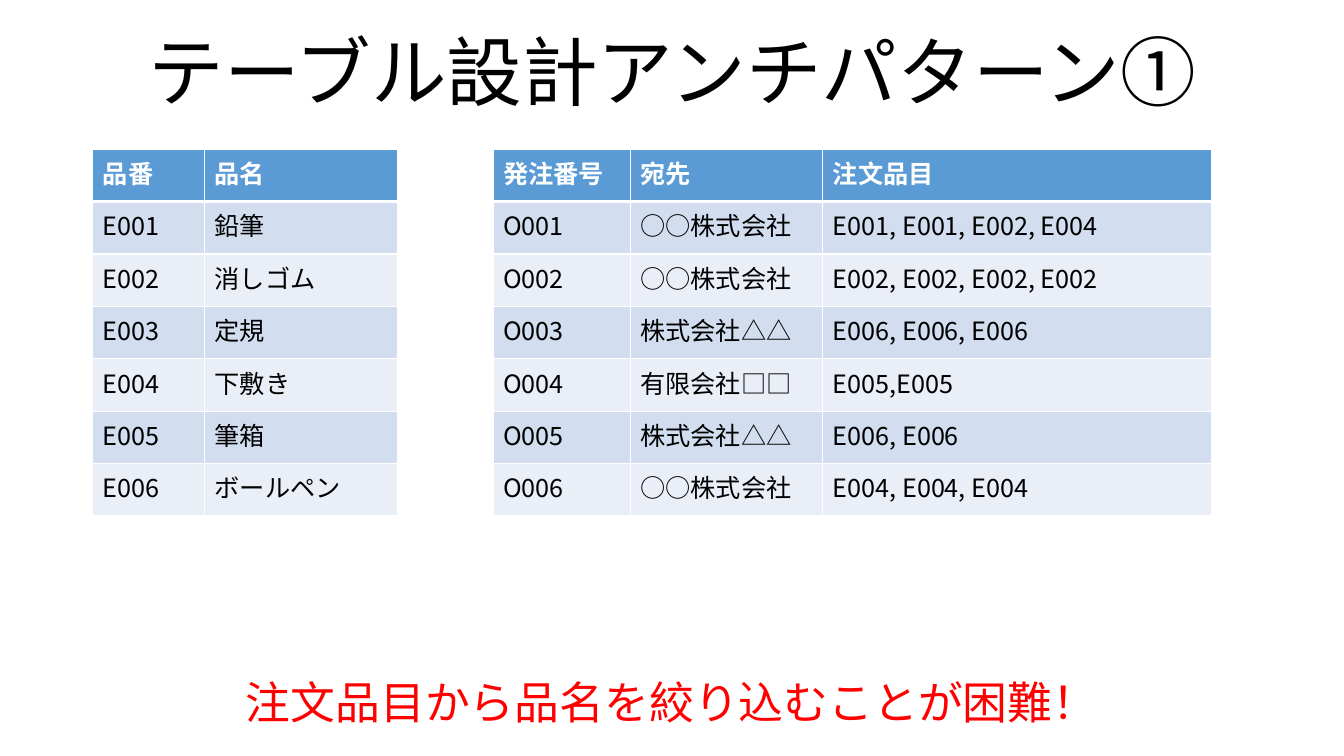
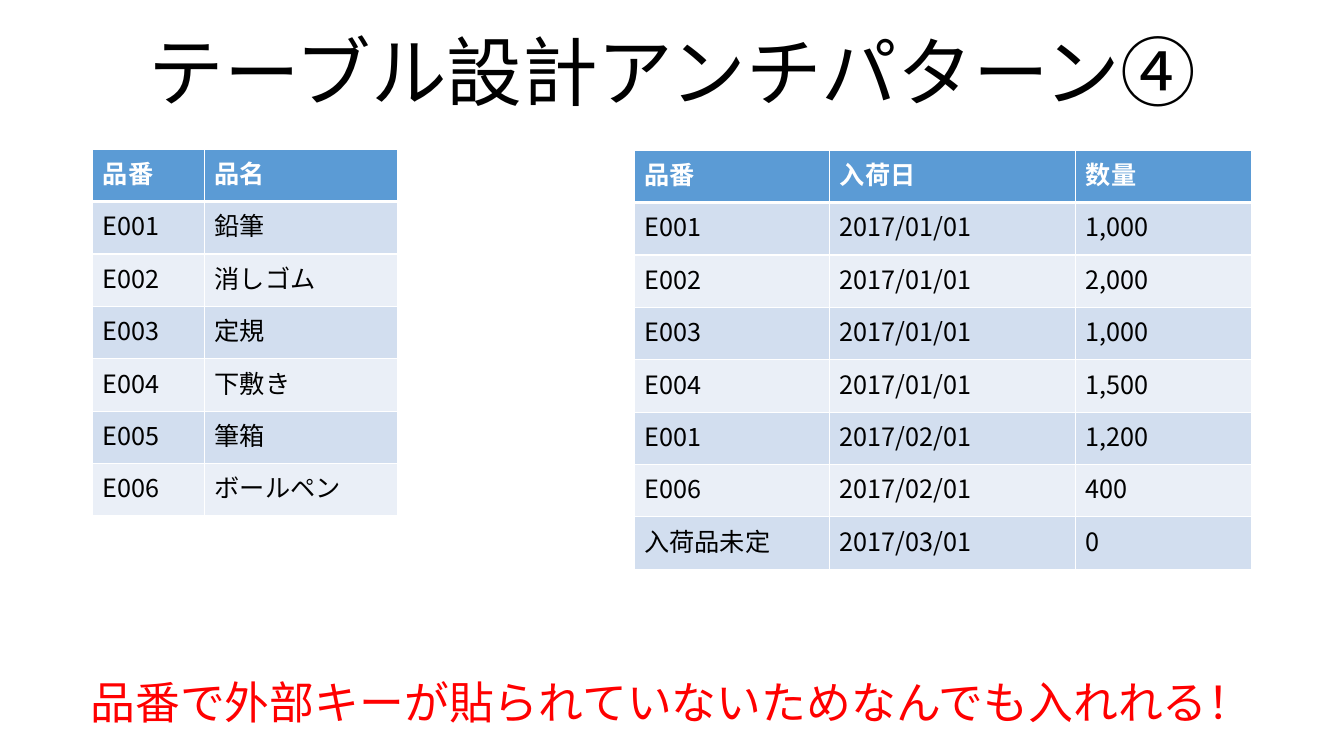
from dataclasses import dataclass

from lxml import etree
from pptx import Presentation
from pptx import util as u
from pptx.dml.color import RGBColor
from pptx.enum import text
from pptx.oxml import ns


@dataclass(frozen=True)
class Theme:
    font: str = "Noto Sans CJK JP"
    title_size: int = 54
    message_size: int = 32
    table_size: int = 18
    ink: str = "000000"
    white: str = "FFFFFF"
    alert: str = "FF0000"
    header: str = "5B9BD5"
    bands: tuple = ("D2DEEF", "EAEFF7")
    row_height: float = 0.52
    rule: int = 1
    header_rule: int = 3


class Deck:
    def __init__(self, theme):
        self.theme = theme
        self.prs = Presentation()
        self.prs.slide_width = u.Inches(13.33)
        self.prs.slide_height = u.Inches(7.5)
        self.slide = None

    def add_slide(self, title, message):
        """Start a slide with its title and its red closing message."""
        theme = self.theme
        self.slide = self.prs.slides.add_slide(self.prs.slide_layouts[6])
        heading = self.textbox(title, 0.92, 0.03, 11.5, 1.45, theme.title_size, theme.ink)
        heading.vertical_anchor = text.MSO_ANCHOR.MIDDLE
        heading.paragraphs[0].line_spacing = 0.9
        self.textbox(message, 0, 6.64, 13.33, 0.64, theme.message_size, theme.alert)

    def textbox(self, words, left, top, width, height, size, color):
        box = self.slide.shapes.add_textbox(*map(u.Inches, (left, top, width, height)))
        frame = box.text_frame
        frame.word_wrap = True
        frame.text = words
        frame.paragraphs[0].alignment = text.PP_ALIGN.CENTER
        self.format_text(frame, size, color)
        return frame

    def format_text(self, frame, size, color, bold=False):
        for run in frame.paragraphs[0].runs:
            run.font.size = u.Pt(size)
            run.font.bold = bold
            run.font.color.rgb = RGBColor.from_string(color)
            run.font.name = self.theme.font
            # East Asian characters take their own typeface
            east_asian = etree.SubElement(run.font._element, ns.qn("a:ea"))
            east_asian.set("typeface", self.theme.font)

    def table(self, left, top, widths, rows):
        height = self.theme.row_height
        grid = self.slide.shapes.add_table(
            len(rows), len(widths), u.Inches(left), u.Inches(top),
            u.Inches(sum(widths)), u.Inches(height * len(rows))).table
        for column, width in zip(grid.columns, widths):
            column.width = u.Inches(width)
        for r, row in enumerate(rows):
            grid.rows[r].height = u.Inches(height)
            for c, words in enumerate(row):
                self.fill_cell(grid.cell(r, c), words, r)

    def fill_cell(self, cell, words, row):
        theme = self.theme
        is_header = row == 0
        # The rule under the header is thicker, on both sides of the edge
        self.border(cell, "L", theme.rule)
        self.border(cell, "R", theme.rule)
        self.border(cell, "T", theme.header_rule if row == 1 else theme.rule)
        self.border(cell, "B", theme.header_rule if is_header else theme.rule)
        cell.fill.solid()
        color = theme.header if is_header else theme.bands[(row - 1) % 2]
        cell.fill.fore_color.rgb = RGBColor.from_string(color)
        cell.text_frame.text = words
        self.format_text(cell.text_frame, theme.table_size,
                         theme.white if is_header else theme.ink, is_header)

    def border(self, cell, side, width):
        properties = cell._tc.get_or_add_tcPr()
        line = etree.SubElement(properties, ns.qn(f"a:ln{side}"), w=str(u.Pt(width)))
        fill = etree.SubElement(line, ns.qn("a:solidFill"))
        etree.SubElement(fill, ns.qn("a:srgbClr"), val=self.theme.white)


# Item master, shown on both slides
ITEMS = [
    ("品番", "品名"),
    ("E001", "鉛筆"),
    ("E002", "消しゴム"),
    ("E003", "定規"),
    ("E004", "下敷き"),
    ("E005", "筆箱"),
    ("E006", "ボールペン"),
]
ORDERS = [
    ("発注番号", "宛先", "注文品目"),
    ("O001", "○○株式会社", "E001, E001, E002, E004"),
    ("O002", "○○株式会社", "E002, E002, E002, E002"),
    ("O003", "株式会社△△", "E006, E006, E006"),
    ("O004", "有限会社□□", "E005,E005"),
    ("O005", "株式会社△△", "E006, E006"),
    ("O006", "○○株式会社", "E004, E004, E004"),
]
ARRIVALS = [
    ("品番", "入荷日", "数量"),
    ("E001", "2017/01/01", "1,000"),
    ("E002", "2017/01/01", "2,000"),
    ("E003", "2017/01/01", "1,000"),
    ("E004", "2017/01/01", "1,500"),
    ("E001", "2017/02/01", "1,200"),
    ("E006", "2017/02/01", "400"),
    ("入荷品未定", "2017/03/01", "0"),
]

# Each slide: number, message, then place, column widths and rows of its own table
PATTERNS = [
    ("①", "注文品目から品名を絞り込むことが困難！",
     (4.89, 1.48, (1.36, 1.91, 3.86), ORDERS)),
    ("④", "品番で外部キーが貼られていないためなんでも入れれる！",
     (6.29, 1.49, (1.94, 2.44, 1.74), ARRIVALS)),
]

deck = Deck(Theme())
for number, message, detail in PATTERNS:
    deck.add_slide(f"テーブル設計アンチパターン{number}", message)
    deck.table(0.92, 1.48, (1.11, 1.91), ITEMS)
    deck.table(*detail)
deck.prs.save("out.pptx")
